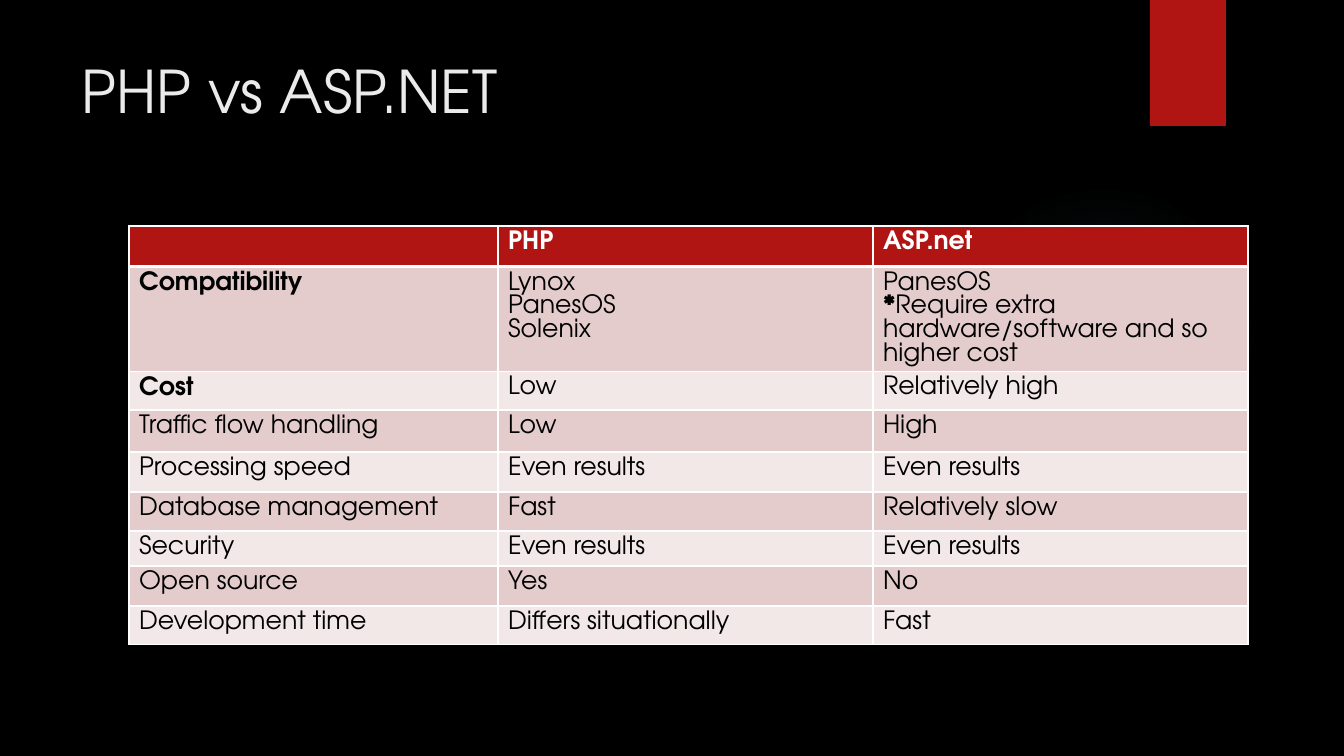
from lxml.etree import SubElement
from pptx import Presentation
from pptx.dml.color import RGBColor
from pptx.enum.shapes import MSO_SHAPE as Preset
from pptx.enum.text import MSO_ANCHOR as Anchor
from pptx.oxml import parse_xml
from pptx.oxml.ns import nsdecls, qn
from pptx.util import Emu, Pt

BLACK = RGBColor(0x00, 0x00, 0x00)
WHITE = RGBColor(0xFF, 0xFF, 0xFF)
TITLE_GREY = RGBColor(0xEB, 0xEB, 0xEB)
RED = RGBColor(0xB0, 0x15, 0x13)
DARK_PINK = RGBColor(0xE4, 0xCC, 0xCC)
LIGHT_PINK = RGBColor(0xF2, 0xE8, 0xE7)
TEAL = RGBColor(0x50, 0xB9, 0xC1)
FONT = "TeX Gyre Adventor"
PX_PER_INCH = 100.8

COLUMN_WIDTHS = [369, 375, 375]
ROW_HEIGHTS = [40, 104, 39, 42, 40, 39, 35, 40, 39]
BOLD_LABELS = ["Compatibility", "Cost"]
COMPARISON = [
    ["", "PHP", "ASP.net"],
    ["Compatibility", "Lynox\nPanesOS\nSolenix",
     "PanesOS\n*Require extra hardware/software and so higher cost"],
    ["Cost", "Low", "Relatively high"],
    ["Traffic flow handling", "Low", "High"],
    ["Processing speed", "Even results", "Even results"],
    ["Database management", "Fast", "Relatively slow"],
    ["Security", "Even results", "Even results"],
    ["Open source", "Yes", "No"],
    ["Development time", "Differs situationally", "Fast"],
]


def px(length):
    return Emu(round(length * 914400 / PX_PER_INCH))


def box(*lengths):
    return [px(length) for length in lengths]


def add_run(paragraph, text, color, size=18, bold=False):
    run = paragraph.add_run()
    run.text = text
    run.font.color.rgb = color
    font_format = {"name": FONT, "size": Pt(size), "bold": bold}
    for name, value in font_format.items():
        setattr(run.font, name, value)


def add_plain_shape(slide, preset, bounds, color):
    shape = slide.shapes.add_shape(preset, *box(*bounds))
    shape.shadow.inherit = False
    shape.fill.solid()
    shape.fill.fore_color.rgb = color
    shape.line.fill.background()
    return shape


def add_glow(slide, bounds, color, stops):
    shape = add_plain_shape(slide, Preset.OVAL, bounds, color)
    stop_xml = "".join(
        f'<a:gs pos="{position * 1000}"><a:srgbClr val="{color}">'
        f'<a:alpha val="{opacity * 1000}"/></a:srgbClr></a:gs>'
        for position, opacity in stops)
    gradient = parse_xml(
        f'<a:gradFill {nsdecls("a")}><a:gsLst>{stop_xml}</a:gsLst>'
        '<a:path path="circle"><a:fillToRect l="50000" t="50000" '
        'r="50000" b="50000"/></a:path></a:gradFill>')
    properties = shape.element.spPr
    properties.replace(properties.find(qn("a:solidFill")), gradient)


def add_title(slide, text, bounds):
    frame = slide.shapes.add_textbox(*box(*bounds)).text_frame
    frame.word_wrap = True
    frame.vertical_anchor = Anchor.TOP
    add_run(frame.paragraphs[0], text, TITLE_GREY, size=42)


def set_borders(cell, widths):
    properties = cell._tc.get_or_add_tcPr()
    for side, width in widths.items():
        line = SubElement(properties, qn(f"a:ln{side}"), w=str(Pt(width)))
        fill = SubElement(line, qn("a:solidFill"))
        SubElement(fill, qn("a:srgbClr"), val=str(WHITE))


def fill_cell(cell, text, row):
    set_borders(cell, {"L": 1, "R": 1, "T": 3 if row == 1 else 1,
                       "B": 3 if row == 0 else 1})
    cell.fill.solid()
    cell.fill.fore_color.rgb = RED if row == 0 else (LIGHT_PINK, DARK_PINK)[row % 2]
    color = WHITE if row == 0 else BLACK
    bold = row == 0 or text in BOLD_LABELS
    frame = cell.text_frame
    for index, line in enumerate(text.split("\n")):
        paragraph = frame.add_paragraph() if index else frame.paragraphs[0]
        paragraph.line_spacing = Pt(16.9)
        if line.startswith("*"):
            add_run(paragraph, "*", color, bold=True)
            line = line[1:]
        if line:
            add_run(paragraph, line, color, bold=bold)


def add_comparison(slide, left, top):
    bounds = box(left, top, sum(COLUMN_WIDTHS), sum(ROW_HEIGHTS))
    table = slide.shapes.add_table(len(ROW_HEIGHTS), len(COLUMN_WIDTHS), *bounds).table
    for column, width in zip(table.columns, COLUMN_WIDTHS):
        column.width = px(width)
    for row, (height, texts) in enumerate(zip(ROW_HEIGHTS, COMPARISON)):
        table.rows[row].height = px(height)
        for column, text in enumerate(texts):
            fill_cell(table.cell(row, column), text, row)


def main():
    """Build the PHP and ASP.NET comparison slide."""
    presentation = Presentation()
    presentation.slide_width, presentation.slide_height = box(1344, 756)
    slide = presentation.slides.add_slide(presentation.slide_layouts[6])
    slide.background.fill.solid()
    slide.background.fill.fore_color.rgb = BLACK
    add_glow(slide, (949, 184, 310, 310), TEAL, [(0, 7), (36, 6), (69, 0)])
    add_plain_shape(slide, Preset.RECTANGLE, (1150, 0, 76, 126), RED)
    add_title(slide, "PHP vs ASP.NET", (72, 50, 1037, 154))
    add_comparison(slide, 129, 226)
    presentation.save("out.pptx")


if __name__ == "__main__":
    main()
